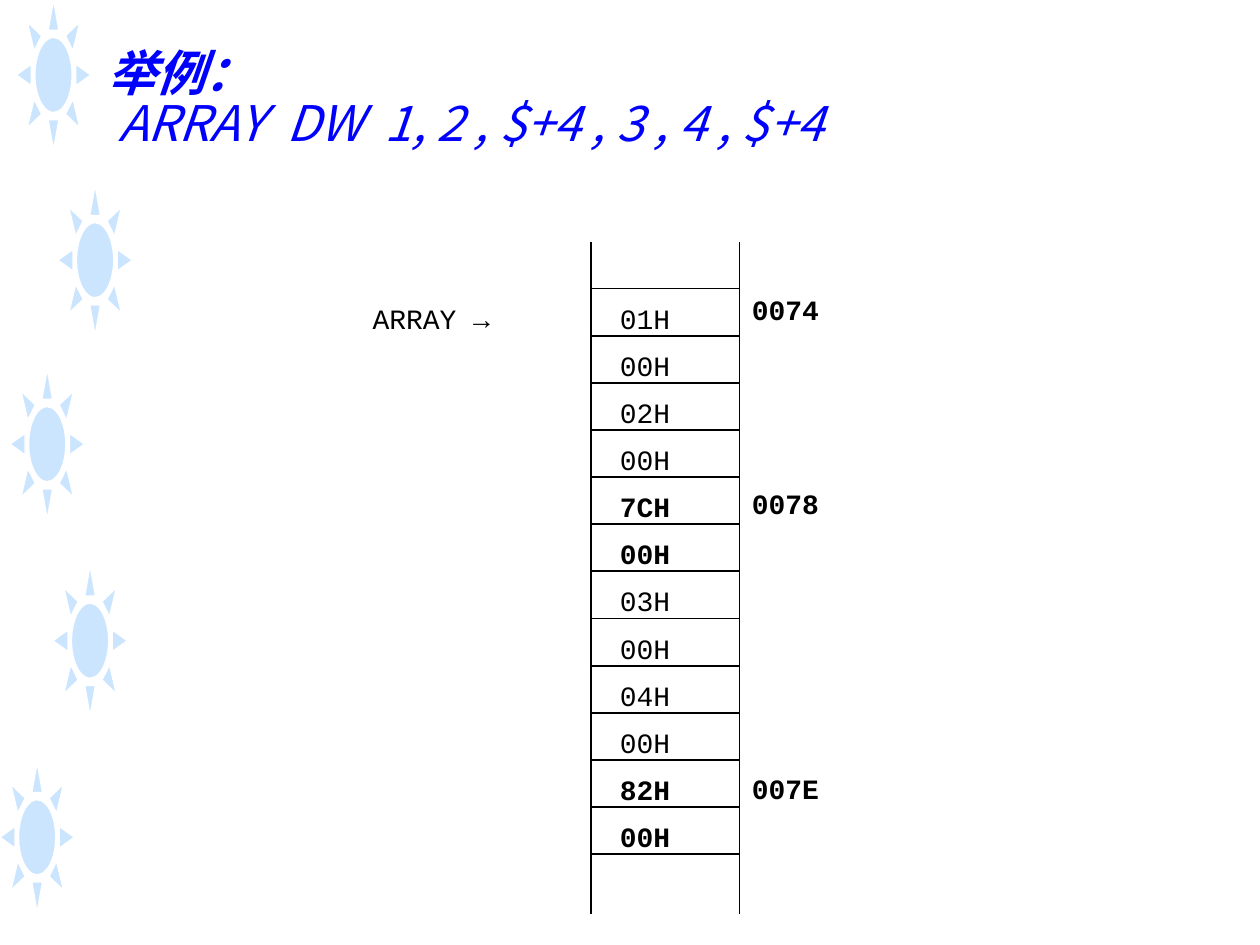
from dataclasses import dataclass

from lxml import etree
from pptx import Presentation
from pptx.dml.color import RGBColor
from pptx.enum.shapes import MSO_CONNECTOR, MSO_SHAPE
from pptx.enum.text import MSO_ANCHOR, MSO_AUTO_SIZE, PP_ALIGN
from pptx.oxml.ns import qn
from pptx.util import Inches, Pt

RECT, SUN = MSO_SHAPE.RECTANGLE, MSO_SHAPE.SUN
STRAIGHT = MSO_CONNECTOR.STRAIGHT
LEFT, TOP, MIDDLE = PP_ALIGN.LEFT, MSO_ANCHOR.TOP, MSO_ANCHOR.MIDDLE
NO_FIT = MSO_AUTO_SIZE.NONE


@dataclass(frozen=True)
class Theme:
    ink: RGBColor = RGBColor(0, 0, 0)
    title: RGBColor = RGBColor(0, 0, 0xFF)
    sun: RGBColor = RGBColor(0x99, 0xCC, 0xFF)
    white: RGBColor = RGBColor(0xFF, 0xFF, 0xFF)
    title_font: str = "Noto Sans CJK SC"
    code_font: str = "Courier New"
    title_size: int = 28
    code_size: int = 16


THEME = Theme()

MEMORY = ["01H", "00H", "02H", "00H", "7CH", "00H",
          "03H", "00H", "04H", "00H", "82H", "00H"]
BOLD_CELLS = {4, 5, 10, 11}
ADDRESSES = [("0074", 2.22), ("0078", 3.76), ("007E", 6.02)]
SUNS = [(0.13, 0), (0.46, 1.47), (0.08, 2.93), (0.42, 4.49), (0, 6.05)]

CELL_X, CELL_W = 4.69, 1.18
CELL_TOP, CELL_BOTTOM = 2.29, 6.78
CELL_H = (CELL_BOTTOM - CELL_TOP) / len(MEMORY)


def add_run(p, text, font=THEME.code_font, size=THEME.code_size,
            color=THEME.ink, bold=False, italic=False):
    r = p.add_run()
    r.text = text
    f = r.font
    f.name, f.size, f.bold, f.italic = font, Pt(size), bold, italic
    f.color.rgb = color
    ea = etree.SubElement(r._r.get_or_add_rPr(), qn("a:ea"))
    ea.set("typeface", font)


def set_code(sp, text, inset=0.1, bold=False):
    tf = sp.text_frame
    tf.word_wrap = True
    tf.vertical_anchor = TOP
    tf.margin_left, tf.margin_top = Inches(inset), Inches(0.1)
    tf.margin_bottom = 0
    p = tf.paragraphs[0]
    p.alignment = LEFT
    add_run(p, text, bold=bold)


def add_sun(slide, x, y):
    sp = slide.shapes.add_shape(SUN, Inches(x), Inches(y), Inches(0.59), Inches(1.19))
    sp.shadow.inherit = False
    sp.fill.solid()
    sp.fill.fore_color.rgb = THEME.sun
    color = sp._element.spPr.find(qn("a:solidFill"))[0]
    etree.SubElement(color, qn("a:alpha")).set("val", "50000")
    sp.line.color.rgb = THEME.white
    sp.line.width = Pt(0.75)


def add_title(slide):
    title = slide.shapes.title
    title.left, title.top = Inches(0.75), Inches(0.18)
    title.width, title.height = Inches(8.5), Inches(1.25)
    tf = title.text_frame
    tf.auto_size = NO_FIT
    tf.vertical_anchor = MIDDLE
    p = tf.paragraphs[0]
    p.alignment = LEFT
    p.line_spacing = 0.85
    style = dict(font=THEME.title_font, size=THEME.title_size,
                 color=THEME.title, italic=True)
    add_run(p, "举例：", bold=True, **style)
    p.add_line_break()
    add_run(p, " ARRAY  DW  1, 2 , $+4 , 3 , 4 , $+4", **style)


def add_cell(slide, y, text, bold):
    sp = slide.shapes.add_shape(RECT, Inches(CELL_X), Inches(y),
                                Inches(CELL_W), Inches(CELL_H))
    sp.shadow.inherit = False
    sp.fill.background()
    sp.line.color.rgb = THEME.ink
    sp.line.width = Pt(1)
    set_code(sp, text, inset=0.23, bold=bold)


def add_label(slide, x, y, w, text, bold=False):
    sp = slide.shapes.add_textbox(Inches(x), Inches(y), Inches(w), Inches(0.37))
    set_code(sp, text, bold=bold)


def add_edge(slide, x, y1, y2):
    line = slide.shapes.add_connector(STRAIGHT, Inches(x), Inches(y1),
                                      Inches(x), Inches(y2))
    line.line.color.rgb = THEME.ink
    line.line.width = Pt(1)
    etree.SubElement(line._element.spPr, qn("a:effectLst"))


def add_memory(slide):
    for i, value in enumerate(MEMORY):
        add_cell(slide, CELL_TOP + i * CELL_H, value, i in BOLD_CELLS)
    for x in (CELL_X, CELL_X + CELL_W):
        add_edge(slide, x, 1.92, 2.38)
        add_edge(slide, x, CELL_BOTTOM, 7.25)
    add_label(slide, 2.86, CELL_TOP, 1.8, "ARRAY →")
    for text, y in ADDRESSES:
        add_label(slide, CELL_X + CELL_W, y, 1.3, text, bold=True)


def main():
    prs = Presentation()
    prs.slide_width, prs.slide_height = Inches(10), Inches(7.5)
    slide = prs.slides.add_slide(prs.slide_layouts[5])
    for x, y in SUNS:
        add_sun(slide, x, y)
    add_title(slide)
    add_memory(slide)
    prs.save("out.pptx")


if __name__ == "__main__":
    main()
